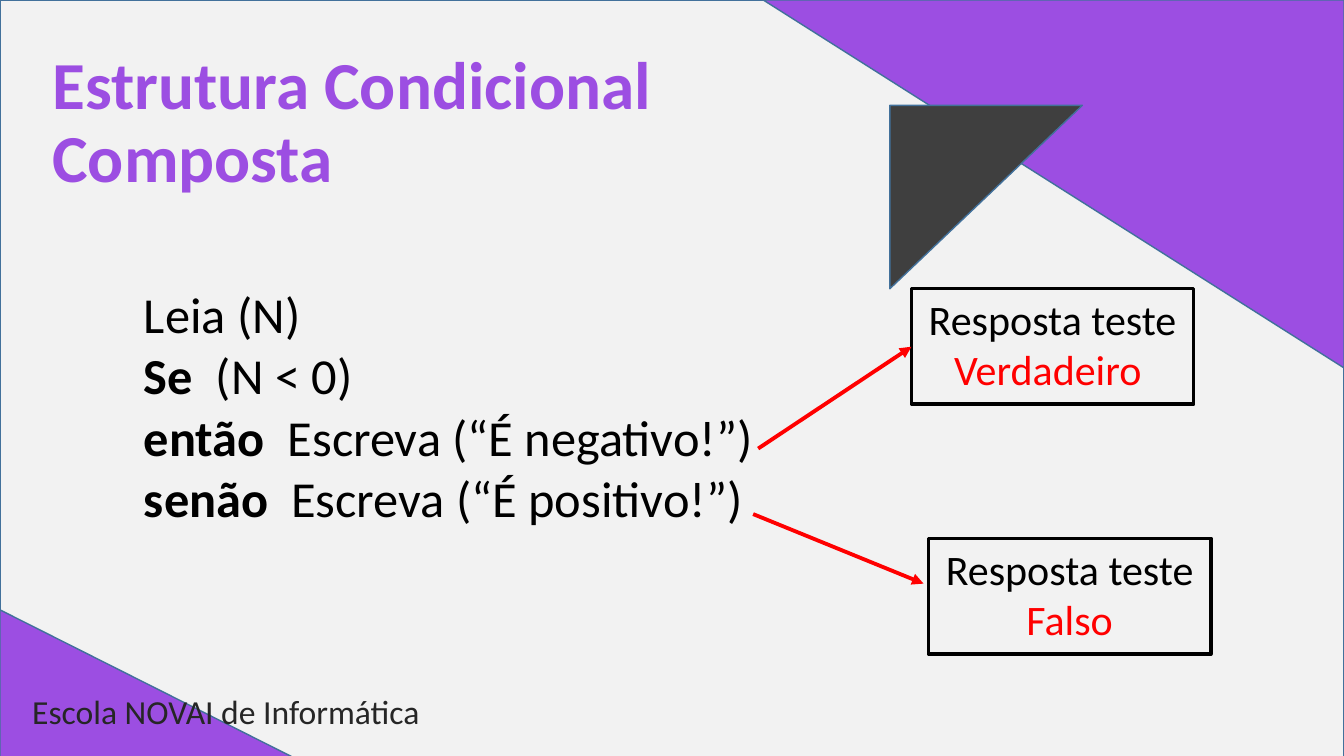
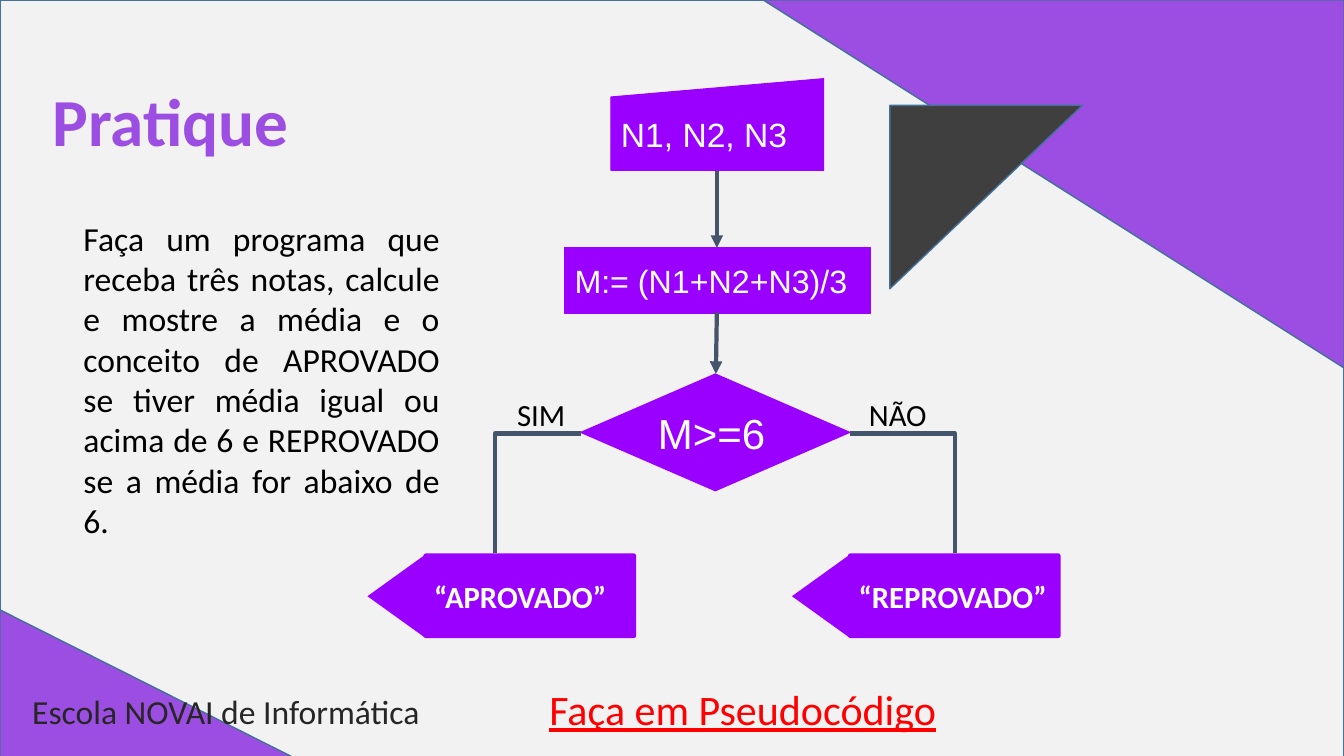
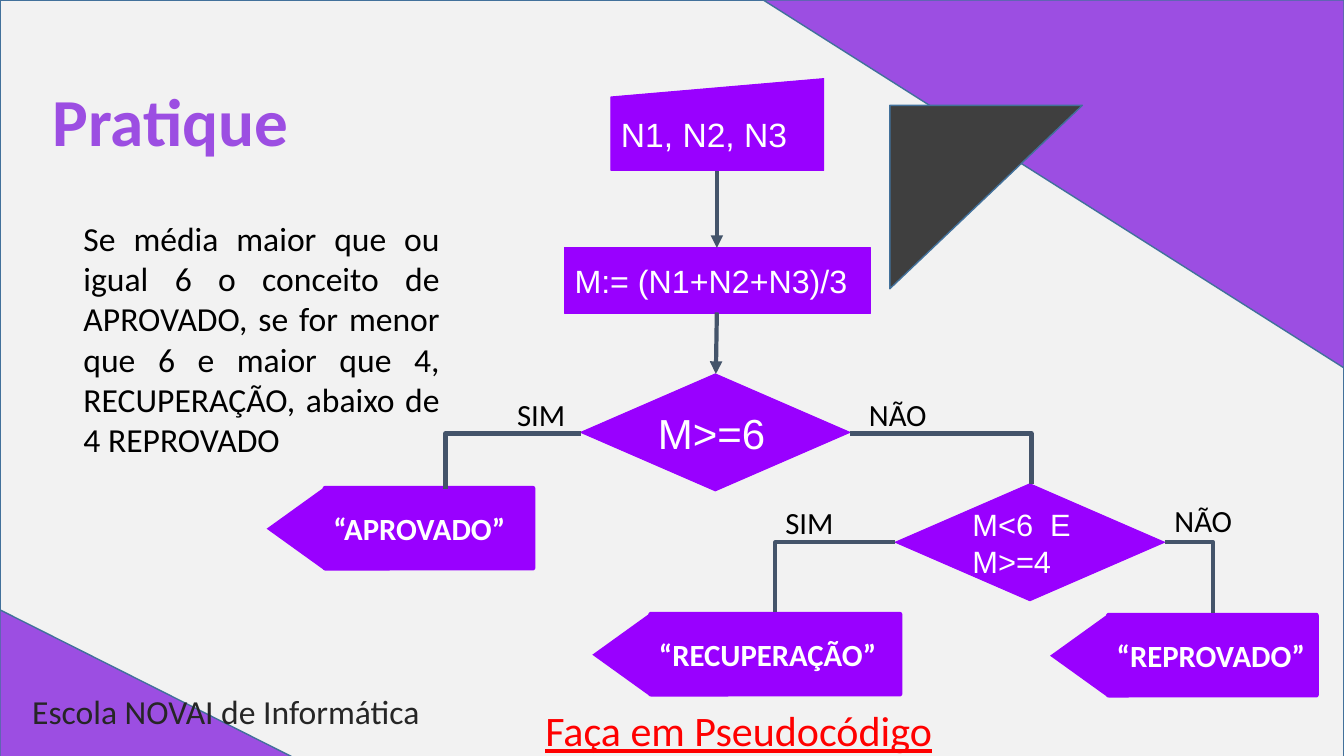
from pptx import Presentation
from pptx.dml.color import RGBColor
from pptx.enum.shapes import MSO_CONNECTOR, MSO_SHAPE
from pptx.enum.text import MSO_ANCHOR, MSO_AUTO_SIZE, PP_ALIGN
from pptx.oxml.ns import qn
from pptx.util import Inches, Pt
from lxml import etree

RECT = MSO_SHAPE.RECTANGLE
RIGHT_TRIANGLE = MSO_SHAPE.RIGHT_TRIANGLE
TRIANGLE = MSO_SHAPE.ISOSCELES_TRIANGLE
ROUNDED = MSO_SHAPE.ROUNDED_RECTANGLE
INPUT = MSO_SHAPE.FLOWCHART_MANUAL_INPUT
PROCESS = MSO_SHAPE.FLOWCHART_PROCESS
DECISION = MSO_SHAPE.FLOWCHART_DECISION
STRAIGHT = MSO_CONNECTOR.STRAIGHT
ELBOW = MSO_CONNECTOR.ELBOW
TOP, MIDDLE = MSO_ANCHOR.TOP, MSO_ANCHOR.MIDDLE
LEFT, CENTER, JUSTIFY = PP_ALIGN.LEFT, PP_ALIGN.CENTER, PP_ALIGN.JUSTIFY

COLORS = {
    "paper": "F2F2F2", "purple": "9C4EE2", "dark": "3F3F3F", "edge": "42719B",
    "footer": "262626", "node": "9900FF", "link": "44546A",
    "red": "FF0000", "black": "000000", "white": "FFFFFF",
}
RGB = {name: RGBColor.from_string(value) for name, value in COLORS.items()}


def add_box(slide, kind, at, text="", size=24, color="black", font="Calibri", bold=False,
            align=LEFT, anchor=TOP, pad=0.1, fill=None, line=None, width=0.75, rotation=0):
    at = [Inches(v) for v in at]
    if kind is None:
        sp = slide.shapes.add_textbox(*at)
    else:
        sp = slide.shapes.add_shape(kind, *at)
        sp.shadow.inherit = False
        sp.rotation = rotation
        if fill:
            sp.fill.solid()
            sp.fill.fore_color.rgb = RGB[fill]
        else:
            sp.fill.background()
        if line:
            sp.line.color.rgb = RGB[line]
            sp.line.width = Pt(width)
        else:
            sp.line.fill.background()
    tf = sp.text_frame
    tf.word_wrap = True
    tf.vertical_anchor = anchor
    tf.margin_left = tf.margin_right = Inches(0.1)
    tf.margin_top = tf.margin_bottom = Inches(pad)
    p = tf.paragraphs[0]
    p.text = text
    p.alignment = align
    p.font.name, p.font.size, p.font.bold = font, Pt(size), bold
    p.font.color.rgb = RGB[color]
    return sp


def add_line(slide, kind, points, color, width, arrow=False):
    cxn = slide.shapes.add_connector(kind, *[Inches(v) for v in points])
    cxn.line.color.rgb = RGB[color]
    cxn.line.width = Pt(width)
    props = cxn.element.spPr
    if kind == ELBOW:
        props.find(qn("a:prstGeom")).set("prst", "bentConnector2")
    if arrow:
        etree.SubElement(props.find(qn("a:ln")), qn("a:tailEnd"), type="triangle")
    etree.SubElement(props, qn("a:effectLst"))


prs = Presentation()
prs.slide_width, prs.slide_height = Inches(13.33), Inches(7.5)
layout = prs.slide_layouts[5]
for ph in list(layout.placeholders)[1:]:
    ph.element.getparent().remove(ph.element)

slides = []
for title in ["Estrutura Condicional Composta", "Pratique", "Pratique"]:
    slide = prs.slides.add_slide(layout)
    sp = slide.shapes.title
    sp.left, sp.top, sp.width, sp.height = [Inches(v) for v in (0.42, 0.51, 8.43, 1.45)]
    tf = sp.text_frame
    tf.text = title
    tf.word_wrap = True
    tf.auto_size = MSO_AUTO_SIZE.NONE
    tf.vertical_anchor = MIDDLE
    p = tf.paragraphs[0]
    p.alignment = LEFT
    p.line_spacing = 0.9
    p.font.name, p.font.size, p.font.bold = "Calibri", Pt(48), True
    p.font.color.rgb = RGB["purple"]
    slides.append(slide)
condition, practice, nested = slides

backdrop = [
    add_box(condition, kind, at, fill=fill, line="edge", width=1, rotation=rotation)
    for kind, at, fill, rotation in [
        (RECT, (0, 0, 13.33, 7.57), "paper", 0),
        (RIGHT_TRIANGLE, (0, 6.05, 3, 1.51), "purple", 0),
        (RIGHT_TRIANGLE, (7.57, 0, 5.76, 3.65), "purple", 180),
        (RIGHT_TRIANGLE, (8.87, 1, 1.82, 1.91), "dark", 90),
    ]
]
backdrop.append(add_box(condition, None, (0.22, 6.81, 4.59, 0.5),
                        "Escola NOVAI de Informática", color="footer", pad=0.05))
for sp in backdrop:
    layout.shapes.element.append(sp.element)

code = [
    ("", "Leia (N)"),
    ("Se  ", "(N < 0)"),
    ("então", "  Escreva (“É negativo!”)"),
    ("senão ", " Escreva (“É positivo!”)"),
]
tf = add_box(condition, None, (1.33, 2.78, 6.76, 2.17)).text_frame
for i, (keyword, rest) in enumerate(code):
    p = tf.add_paragraph() if i else tf.paragraphs[0]
    p.line_spacing = 0.9
    p.space_before = Pt(4.8)
    p.font.name, p.font.size = "Calibri", Pt(36)
    p.font.color.rgb = RGB["black"]
    for text, bold in [(keyword, True), (rest, False)]:
        if text:
            r = p.add_run()
            r.text = text
            r.font.bold = bold

for x, y, answer, arrow in [
    (9.04, 2.86, "Verdadeiro ", (7.52, 4.45, 9.04, 3.44)),
    (9.21, 5.34, "Falso", (7.47, 5.1, 9.16, 5.79)),
]:
    sp = add_box(condition, RECT, (x, y, 2.8, 1.15), "Resposta teste ", size=30,
                 align=CENTER, pad=0.05, line="black", width=2.5)
    r = sp.text_frame.paragraphs[0].add_run()
    r.text = answer
    r.font.color.rgb = RGB["red"]
    add_line(condition, STRAIGHT, arrow, "red", 2.75, arrow=True)

flow = [
    (INPUT, (6.06, 0.78, 2.11, 0.91), "N1, N2, N3", 24),
    (PROCESS, (5.6, 2.46, 3.03, 0.65), "M:= (N1+N2+N3)/3", 23),
    (DECISION, (5.76, 3.71, 2.67, 1.16), "M>=6", 30),
]
second_test = (DECISION, (8.88, 4.8, 2.67, 1.16), "M<6  E M>=4", 22)
arrows = [(7.11, 1.7, 7.11, 2.46), (7.11, 3.1, 7.1, 3.71)]
answers = [(5.03, 3.83, "SIM"), (8.52, 3.83, "NÃO")]

exercises = [
    {
        "slide": practice,
        "task": "Faça um programa que receba três notas, calcule e mostre a média e o conceito "
                "de APROVADO se tiver média igual ou acima de 6 e REPROVADO se a média for "
                "abaixo de 6.",
        "height": 2.15,
        "nodes": flow,
        "branches": [(8.43, 4.3, 9.47, 5.49), (5.76, 4.3, 4.91, 5.49)],
        "answers": answers,
        "results": [(4.2, 5.49, 2.11, "“APROVADO”"), (8.41, 5.49, 2.11, "“REPROVADO”")],
        "hint": (5.35, 6.68),
    },
    {
        "slide": nested,
        "task": "Se média maior que ou igual 6 o conceito de APROVADO, se for menor que 6 e "
                "maior que 4, RECUPERAÇÃO, abaixo de 4 REPROVADO",
        "height": 3.28,
        "nodes": flow + [second_test],
        "branches": [(8.43, 4.3, 10.23, 4.8), (5.76, 4.3, 4.42, 4.85),
                     (8.88, 5.38, 7.69, 6.07), (11.55, 5.38, 12.03, 6.08)],
        "answers": answers + [(7.69, 4.9, "SIM"), (11.55, 4.88, "NÃO")],
        "results": [(3.2, 4.82, 2.11, "“APROVADO”"), (10.97, 6.08, 2.11, "“REPROVADO”"),
                    (6.43, 6.07, 2.52, "“RECUPERAÇÃO”")],
        "hint": (5.31, 6.89),
    },
]

for ex in exercises:
    slide = ex["slide"]
    add_box(slide, None, (0.73, 2.06, 3.73, ex["height"]), ex["task"], align=JUSTIFY)
    for kind, at, text, size in ex["nodes"]:
        add_box(slide, kind, at, text, size, "white", "Arial", anchor=MIDDLE,
                fill="node", line="node")
    for x, y, width, text in ex["results"]:
        add_box(slide, TRIANGLE, (x - 0.68, y + 0.14, 0.82, 0.57), fill="node", rotation=270)
        sp = add_box(slide, ROUNDED, (x, y, width, 0.84), text, 22, "white", bold=True,
                     anchor=MIDDLE, pad=0.05, fill="node")
        sp.adjustments[0] = 0.03
    for points in arrows:
        add_line(slide, STRAIGHT, points, "link", 3, arrow=True)
    for points in ex["branches"]:
        add_line(slide, ELBOW, points, "link", 3)
    for x, y, text in ex["answers"]:
        add_box(slide, None, (x, y, 0.85, 0.38), text, 22)
    sp = add_box(slide, None, (*ex["hint"], 4.25, 0.61), "Faça em Pseudocódigo", 30, "red")
    sp.text_frame.paragraphs[0].font.underline = True

prs.save("out.pptx")
